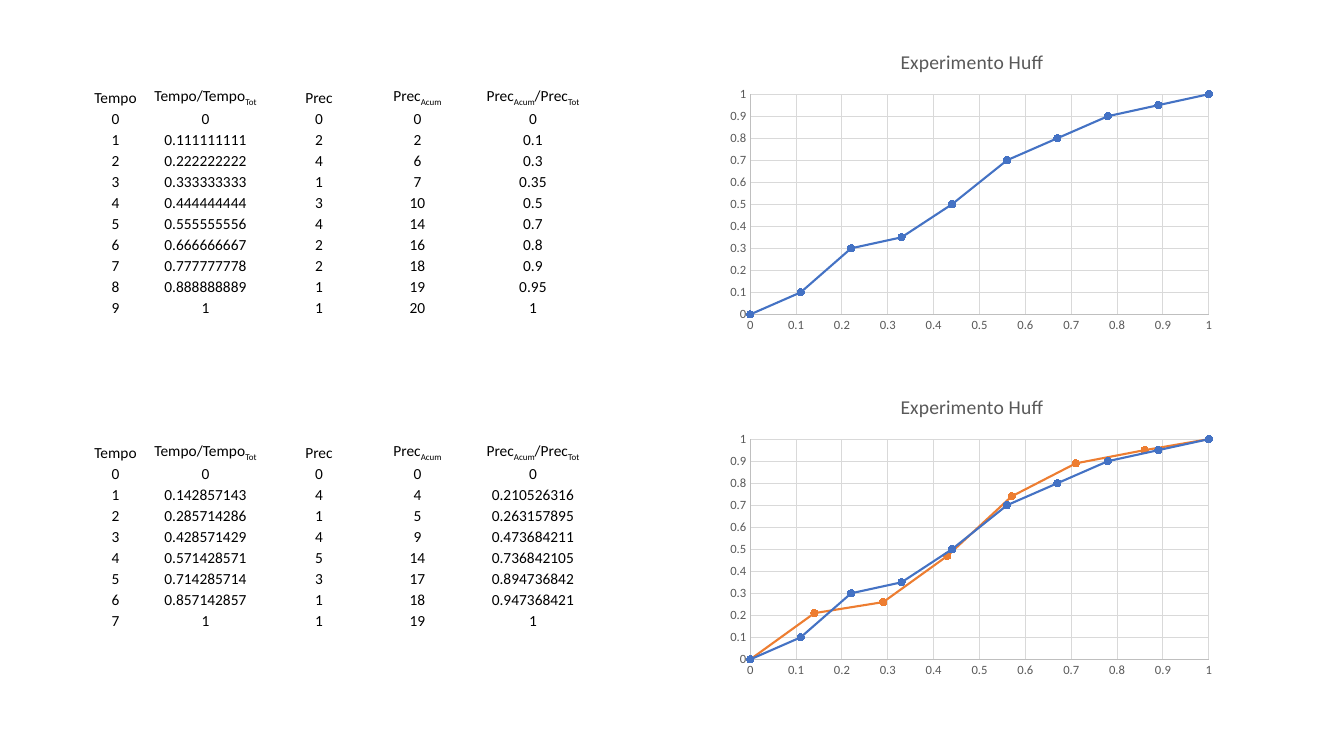
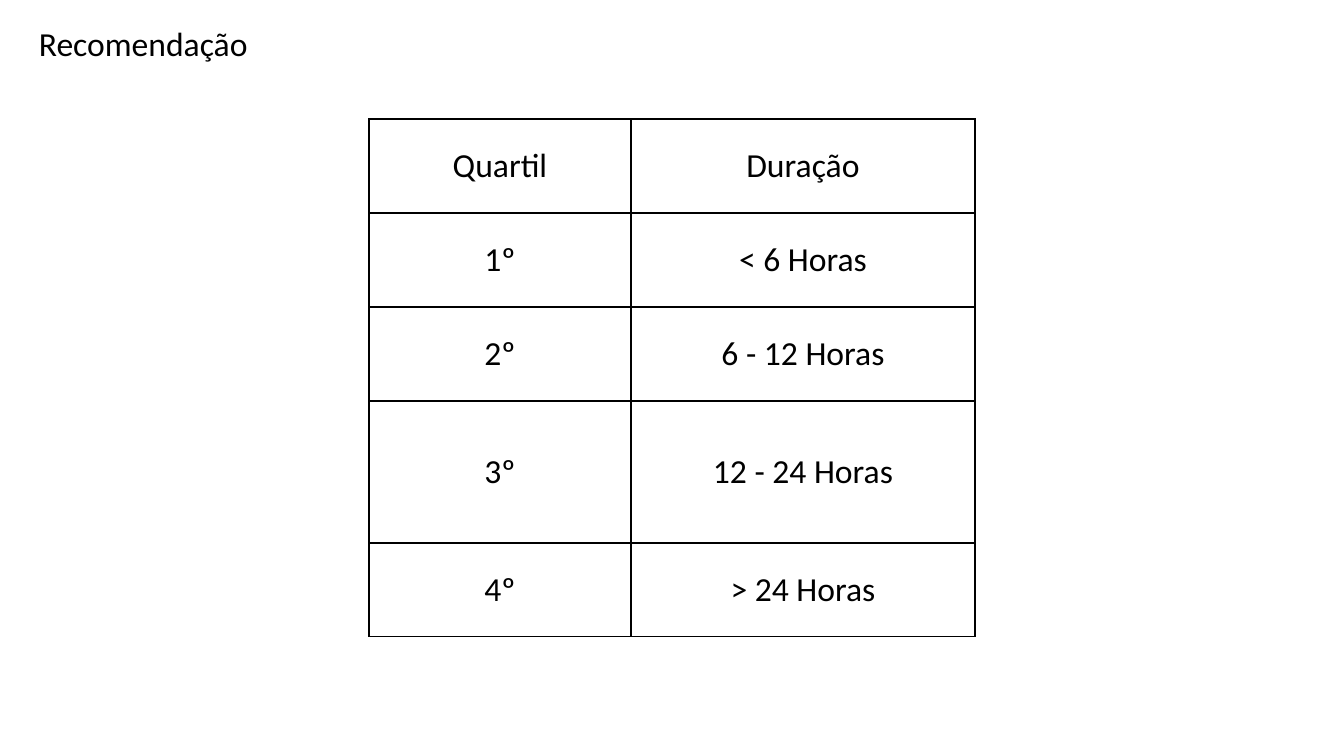
from itertools import accumulate

from lxml.etree import SubElement
from pptx import Presentation
from pptx.chart.data import XyChartData
from pptx.dml.color import RGBColor as RGB
from pptx.enum.chart import XL_CHART_TYPE as Kind
from pptx.enum.chart import XL_MARKER_STYLE as Mark
from pptx.enum.chart import XL_TICK_MARK as Tick
from pptx.enum.text import MSO_ANCHOR as Anchor
from pptx.enum.text import PP_ALIGN as Align
from pptx.oxml.ns import qn
from pptx.util import Pt

# Shared look
PX = 914400 / 100.8
FONT = "Calibri"
BLACK = RGB(0x00, 0x00, 0x00)
GRAY = RGB(0x59, 0x59, 0x59)
AXIS = RGB(0xBF, 0xBF, 0xBF)
GRID = RGB(0xD9, 0xD9, 0xD9)
BLUE = RGB(0x44, 0x72, 0xC4)
ORANGE = RGB(0xED, 0x7D, 0x31)

# Rain in each time step of the two storms
STORMS = [
    [0, 2, 4, 1, 3, 4, 2, 2, 1, 1],
    [0, 4, 1, 4, 5, 3, 1, 1],
]
HEADS = ["Tempo", "Tempo/Tempo|Tot", "Prec", "Prec|Acum",
         "Prec|Acum|/Prec|Tot"]
TERMS = [
    ("Quartil", "Duração"),
    ("1º", "< 6 Horas"),
    ("2º", "6 - 12 Horas"),
    ("3º", "12 - 24 Horas"),
    ("4º", "> 24 Horas"),
]


def px(num):
    return round(num * PX)


def style(font, size, color):
    font.name = FONT
    font.size = Pt(size)
    font.bold = False
    font.color.rgb = color


def write(frame, text, size=24, color=BLACK, align=Align.LEFT):
    """Fill the first paragraph; every second part between bars is subscript."""
    para = frame.paragraphs[0]
    para.alignment = align
    for pos, part in enumerate(text.split("|")):
        run = para.add_run()
        run.text = part
        style(run.font, size, color)
        if pos % 2:
            run.font._element.set("baseline", "-25000")


def edge(cell):
    """Draw a black border on all four sides."""
    props = cell._tc.get_or_add_tcPr()
    for side in ("lnL", "lnR", "lnT", "lnB"):
        line = SubElement(props, qn("a:" + side), w=str(Pt(1)))
        fill = SubElement(line, qn("a:solidFill"))
        SubElement(fill, qn("a:srgbClr"), val=str(BLACK))


def grid(slide, left, top, cols, rows, data, size, anchor, lined=False):
    frame = slide.shapes.add_table(len(rows), len(cols), px(left), px(top),
                                   px(sum(cols)), px(sum(rows)))
    table = frame.table
    table.first_row = table.horz_banding = False
    for col, width in zip(table.columns, cols):
        col.width = px(width)
    for row, height, texts in zip(table.rows, rows, data):
        row.height = px(height)
        for cell, text in zip(row.cells, texts):
            if lined:
                edge(cell)
            cell.fill.background()
            cell.vertical_anchor = anchor
            cell.margin_left = cell.margin_right = 0
            cell.margin_top = cell.margin_bottom = 0
            write(cell.text_frame, text, size=size, align=Align.CENTER)


def stroke(line, color, width):
    line.color.rgb = color
    line.width = Pt(width)


def place(chart, **area):
    """Fix the inner plot area, in fractions of the chart."""
    plot = chart._chartSpace.chart.plotArea
    for old in plot.findall(qn("c:layout")):
        plot.remove(old)
    lay = SubElement(plot, qn("c:layout"))
    plot.insert(0, lay)
    box = SubElement(lay, qn("c:manualLayout"))
    SubElement(box, qn("c:layoutTarget"), val="inner")
    for key in ("xMode", "yMode"):
        SubElement(box, qn("c:" + key), val="edge")
    for key, val in area.items():
        SubElement(box, qn("c:" + key), val=str(val))


def curve(slide, top, lines):
    """Smooth scatter chart of (name, points, color) lines."""
    data = XyChartData()
    for name, points, _ in lines:
        series = data.add_series(name)
        for x, y in points:
            series.add_data_point(round(x, 2), round(y, 2))
    chart = slide.shapes.add_chart(Kind.XY_SCATTER_SMOOTH, px(720), px(top),
                                   px(504), px(306), data).chart
    style(chart.font, 10, BLACK)
    chart.has_legend = False
    chart.has_title = True
    write(chart.chart_title.text_frame, "Experimento Huff", size=14, color=GRAY)
    chart.chart_title.include_in_layout = False
    place(chart, x=0.06, y=0.2, w=0.91, h=0.72)
    for axis in (chart.category_axis, chart.value_axis):
        axis.minimum_scale, axis.maximum_scale = 0, 1
        axis.major_unit = 0.1
        axis.major_tick_mark = axis.minor_tick_mark = Tick.NONE
        axis.has_major_gridlines = True
        stroke(axis.major_gridlines.format.line, GRID, 0.75)
        stroke(axis.format.line, AXIS, 0.75)
        style(axis.tick_labels.font, 9, GRAY)
    plot = chart.plots[0]
    plot.vary_by_categories = False
    for series, (_, _, color) in zip(plot.series, lines):
        series.smooth = True
        stroke(series.format.line, color, 1.5)
        mark = series.marker
        mark.style, mark.size = Mark.CIRCLE, 5
        mark.format.fill.solid()
        mark.format.fill.fore_color.rgb = color
        stroke(mark.format.line, color, 0.75)


def ratios(rain):
    """Rows of time, time share, rain, summed rain and rain share."""
    sums = list(accumulate(rain))
    last = len(rain) - 1
    return [(t, t / last, p, s, s / sums[-1])
            for t, (p, s) in enumerate(zip(rain, sums))]


def huff(slide):
    lines = []
    looks = zip(STORMS, (BLUE, ORANGE), (83, 438), (33, 378))
    for num, (rain, color, top, high) in enumerate(looks, 1):
        rows = ratios(rain)
        texts = [[f"{val:.9g}" for val in row] for row in rows]
        grid(slide, 89, top, [53, 127, 100, 97, 134], [25] + [21] * len(rows),
             [HEADS] + texts, size=11, anchor=Anchor.BOTTOM)
        lines.append((f"Series {num}", [(r[1], r[4]) for r in rows], color))
        curve(slide, high, lines)


def advice(slide):
    grid(slide, 369, 119, [262, 344], [94, 94, 94, 142, 94], TERMS,
         size=24, anchor=Anchor.MIDDLE, lined=True)
    box = slide.shapes.add_textbox(px(29), px(18), px(292), px(50))
    box.text_frame.word_wrap = True
    write(box.text_frame, "Recomendação")


def main():
    deck = Presentation()
    deck.slide_width, deck.slide_height = px(1344), px(756)
    for build in (huff, advice):
        build(deck.slides.add_slide(deck.slide_layouts[6]))
    deck.save("out.pptx")


if __name__ == "__main__":
    main()
